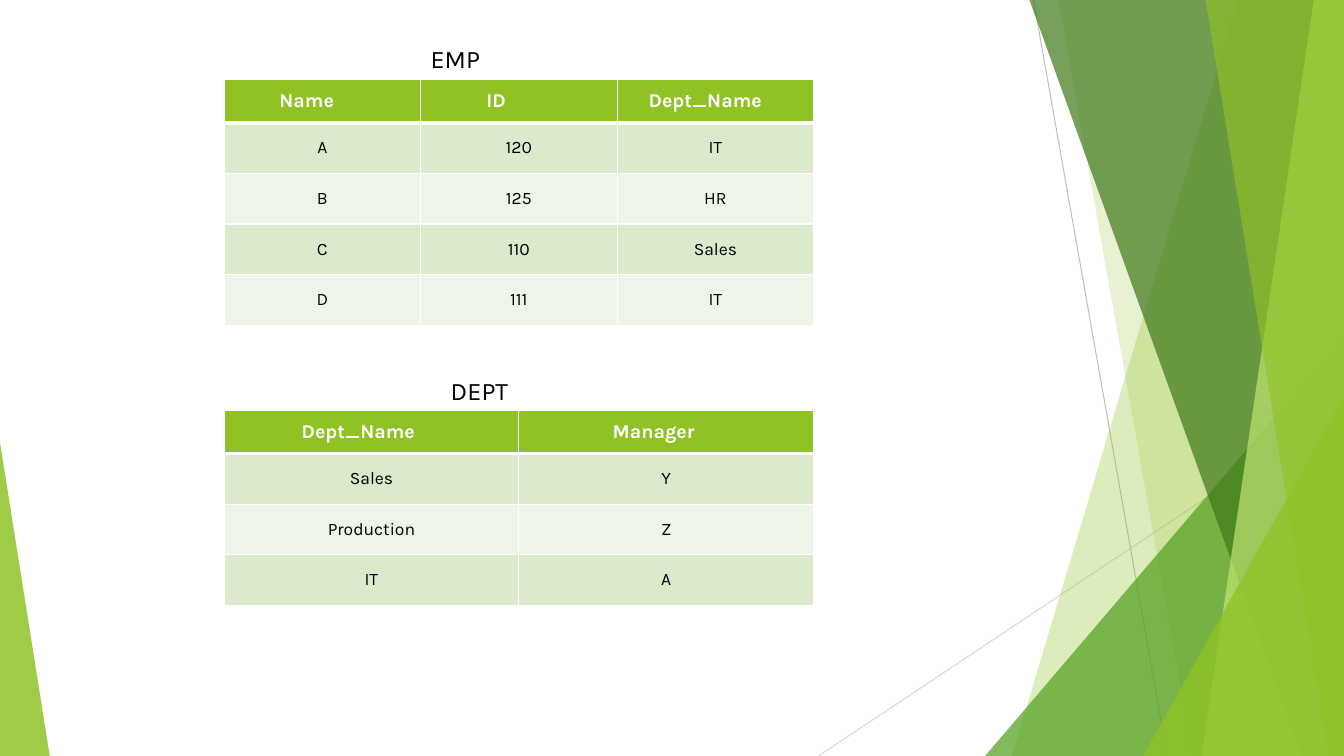
from dataclasses import dataclass

from lxml.etree import SubElement
from pptx import Presentation
from pptx.dml.color import RGBColor
from pptx.enum.shapes import MSO_CONNECTOR, MSO_SHAPE
from pptx.enum.text import MSO_ANCHOR, MSO_AUTO_SIZE, PP_ALIGN
from pptx.oxml.ns import qn
from pptx.util import Inches, Pt


@dataclass(frozen=True)
class Theme:
    font: str = "Karla"
    caption_size: float = 18
    header_size: float = 14
    body_size: float = 12.5
    green: str = "90C226"
    leaf: str = "54A021"
    forest: str = "3F7819"
    lime: str = "C0E474"
    bands: tuple = ("DBE9CD", "EEF4E8")
    gray: str = "BFBFBF"
    light_gray: str = "D9D9D9"
    white: str = "FFFFFF"
    black: str = "000000"


class SlideBuilder:
    """Places elements by percent of the slide's width and height."""

    def __init__(self, prs, theme):
        self.theme = theme
        self.width, self.height = prs.slide_width, prs.slide_height
        self.s = prs.slides.add_slide(prs.slide_layouts[6])

    def x(self, share):
        return round(self.width * share / 100)

    def y(self, share):
        return round(self.height * share / 100)

    def box(self, left, top, width, height):
        return self.x(left), self.y(top), self.x(width), self.y(height)

    def paint(self, sp, color, opacity):
        sp.shadow.inherit = False
        sp.fill.solid()
        sp.fill.fore_color.rgb = RGBColor.from_string(color)
        sp.line.fill.background()
        clr = sp.fill._xPr.find(qn("a:solidFill"))[0]
        SubElement(clr, qn("a:alpha")).set("val", str(opacity * 1000))

    def line(self, x1, y1, x2, y2, color):
        sp = self.s.shapes.add_connector(
            MSO_CONNECTOR.STRAIGHT, self.x(x1), self.y(y1), self.x(x2), self.y(y2))
        sp.line.color.rgb = RGBColor.from_string(color)
        sp.line.width = Pt(0.75)
        SubElement(sp._element.spPr, qn("a:effectLst"))

    def facet(self, top_x, bottom_x, color, opacity):
        """Full-height band from a slanted edge to the right slide edge."""
        fb = self.s.shapes.build_freeform(self.x(top_x), 0)
        fb.add_line_segments([(self.width, 0), (self.width, self.height),
                              (self.x(bottom_x), self.height)])
        self.paint(fb.convert_to_shape(), color, opacity)

    def corner(self, left, top, width, apex, color, opacity):
        """Right triangle standing on the bottom edge of the slide."""
        sp = self.s.shapes.add_shape(
            MSO_SHAPE.ISOSCELES_TRIANGLE, *self.box(left, top, width, 100 - top))
        sp.adjustments[0] = apex
        self.paint(sp, color, opacity)

    def style(self, p, size, color, bold=False):
        p.font.name = self.theme.font
        p.font.size = Pt(size)
        p.font.bold = bold
        p.font.color.rgb = RGBColor.from_string(color)

    def caption(self, text, left, top, width, wrap):
        tf = self.s.shapes.add_textbox(*self.box(left, top, width, 5.33)).text_frame
        tf.word_wrap = wrap
        tf.auto_size = MSO_AUTO_SIZE.SHAPE_TO_FIT_TEXT
        p = tf.paragraphs[0]
        p.text = text
        self.style(p, self.theme.caption_size, self.theme.black)

    def borders(self, cell, top, bottom):
        tcPr = cell._tc.get_or_add_tcPr()
        sides = (("L", 1), ("R", 1), ("T", top), ("B", bottom))
        for i, (side, width) in enumerate(sides):
            ln = SubElement(tcPr, qn(f"a:ln{side}"), w=str(Pt(width)))
            fill = SubElement(ln, qn("a:solidFill"))
            SubElement(fill, qn("a:srgbClr"), val=self.theme.white)
            tcPr.insert(i, ln)

    def cell(self, cell, text, row, margins):
        t = self.theme
        header = row == 0
        cell.fill.solid()
        cell.fill.fore_color.rgb = RGBColor.from_string(
            t.green if header else t.bands[(row - 1) % 2])
        cell.vertical_anchor = MSO_ANCHOR.MIDDLE
        cell.margin_left, cell.margin_right = (Inches(m) for m in margins)
        cell.margin_top = cell.margin_bottom = Inches(0.1 if header else 0.15)
        p = cell.text_frame.paragraphs[0]
        p.text = text
        p.alignment = PP_ALIGN.CENTER
        if header:
            self.style(p, t.header_size, t.white, bold=True)
        else:
            self.style(p, t.body_size, t.black)
        self.borders(cell, top=3 if row == 1 else 1, bottom=3 if header else 1)

    def table(self, top, rows, header_margins):
        header_height, row_height, width = 5.47, 6.5, 43.87
        n_rows, n_cols = len(rows), len(rows[0])
        height = header_height + row_height * (n_rows - 1)
        tbl = self.s.shapes.add_table(
            n_rows, n_cols, *self.box(16.67, top, width, height)).table
        tbl.horz_banding = False
        for col in tbl.columns:
            col.width = self.x(width / n_cols)
        for r, values in enumerate(rows):
            tbl.rows[r].height = self.y(row_height if r else header_height)
            for c, text in enumerate(values):
                margins = (0.1, 0.1) if r else header_margins[c]
                self.cell(tbl.cell(r, c), text, r, margins)


def main():
    prs = Presentation()
    prs.slide_width, prs.slide_height = Inches(13.33), Inches(7.5)
    t = Theme()
    s = SlideBuilder(prs, t)

    # Faceted decoration, back to front
    s.line(76.9, 0, 86.85, 100, t.gray)
    s.line(100, 53.73, 60.9, 100, t.light_gray)
    s.facet(92.1, 75.3, t.green, 30)
    s.facet(78.75, 88.75, t.green, 20)
    s.corner(73.3, 44.4, 26.7, 1, t.leaf, 72)
    s.facet(76.6, 96.85, t.forest, 70)
    s.facet(97.75, 89.4, t.lime, 70)
    s.facet(89.7, 98.85, t.green, 65)
    s.corner(85.05, 52.4, 14.95, 1, t.green, 80)
    s.corner(0, 58.53, 3.7, 0, t.green, 85)

    # Employee table; wider right margins shift the headers left
    s.table(10.55, [("Name", "ID", "Dept_Name"),
                    ("A", "120", "IT"),
                    ("B", "125", "HR"),
                    ("C", "110", "Sales"),
                    ("D", "111", "IT")],
            [(0.04, 0.35), (0.1, 0.55), (0.1, 0.3)])

    # Department table
    s.table(54.3, [("Dept_Name", "Manager"),
                   ("Sales", "Y"),
                   ("Production", "Z"),
                   ("IT", "A")],
            [(0.04, 0.3), (0.1, 0.35)])

    # Table captions
    s.caption("EMP", 31.3, 5.07, 10.2, wrap=True)
    s.caption("DEPT", 32.8, 48.93, 5.85, wrap=False)

    prs.save("out.pptx")


if __name__ == "__main__":
    main()
